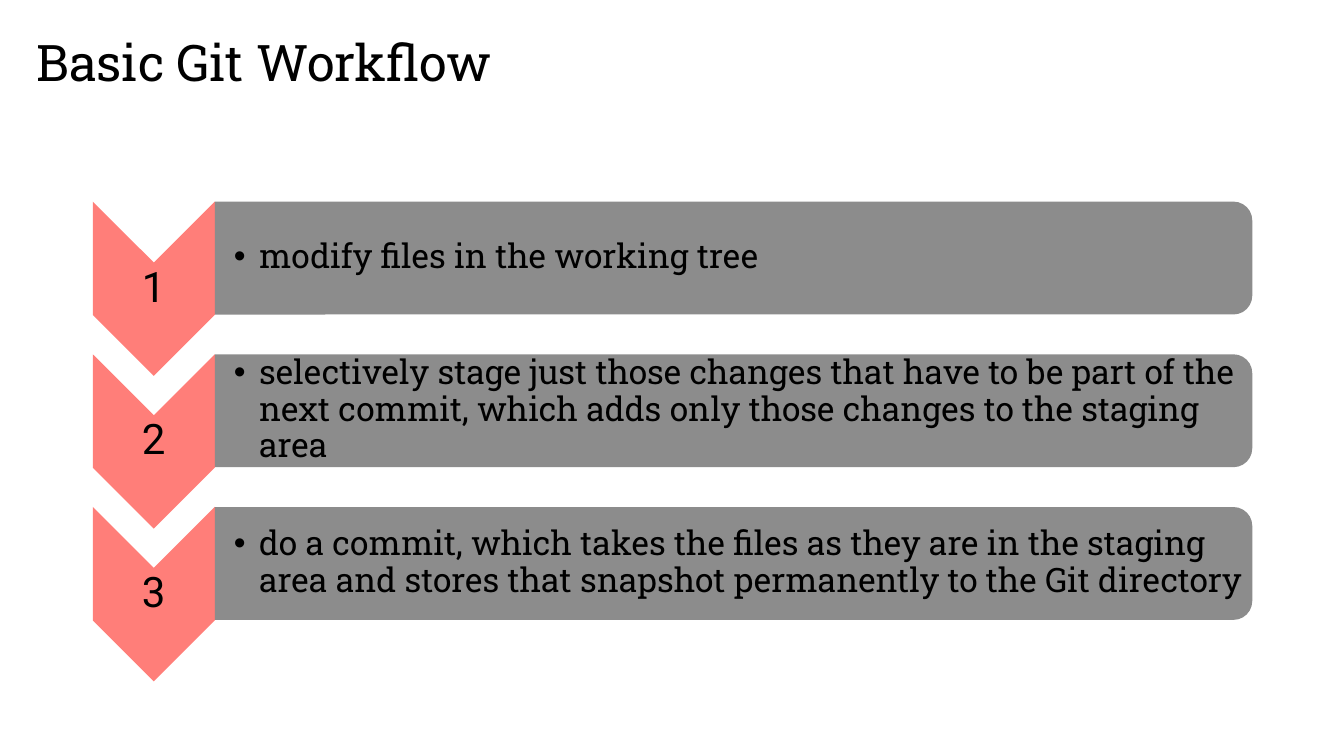
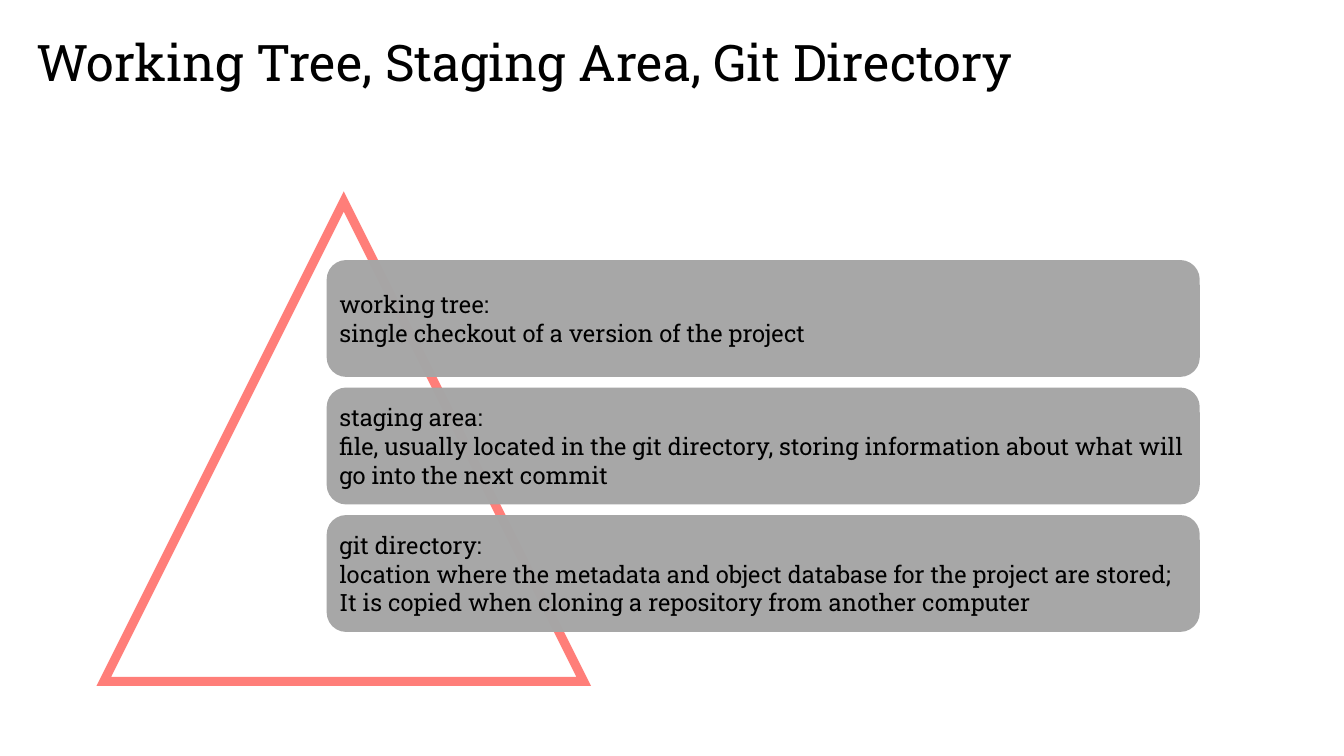
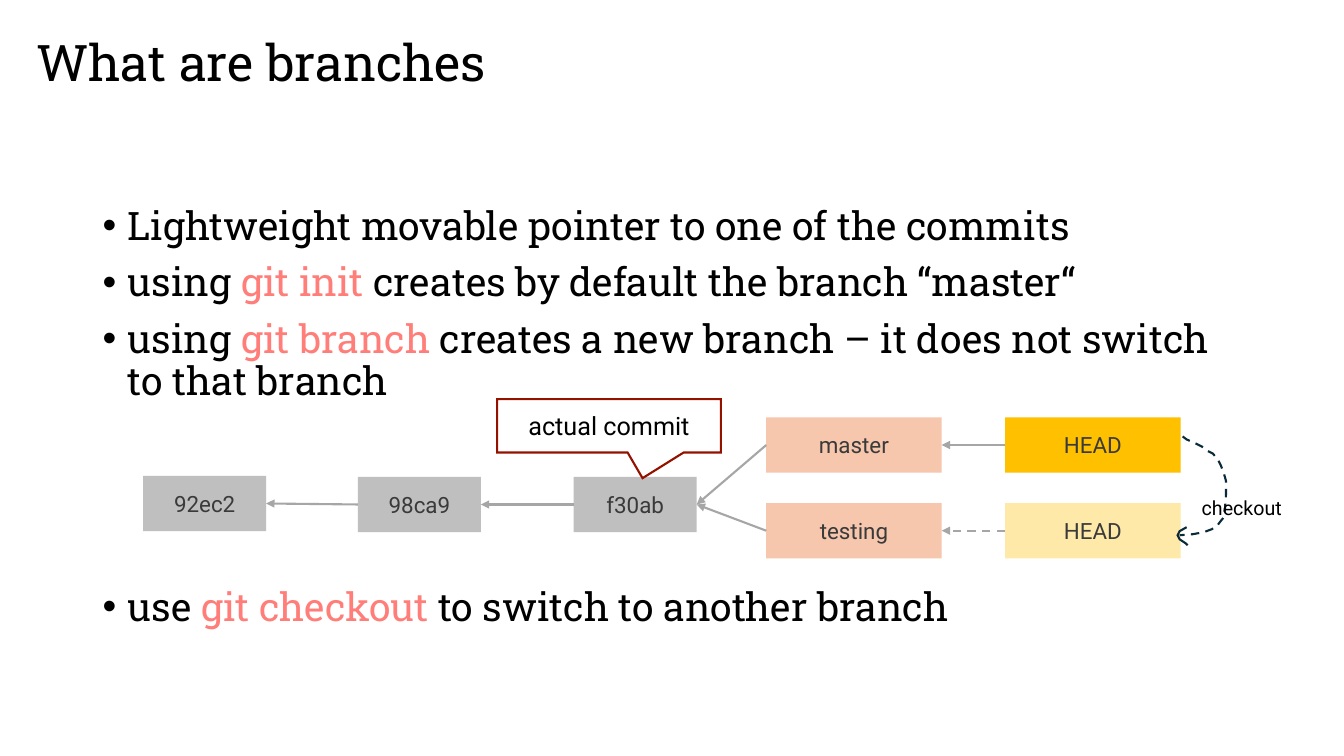
"""Build three slides on the Git workflow, its areas and its branches."""
from lxml import etree
from pptx import Presentation
from pptx.dml.color import RGBColor
from pptx.enum.dml import MSO_LINE
from pptx.enum.shapes import MSO_CONNECTOR, MSO_SHAPE
from pptx.enum.text import MSO_ANCHOR, PP_ALIGN
from pptx.oxml.ns import qn
from pptx.util import Pt

PX = 9144
SLIDE_SIZE = (1333, 750)
TITLE_BOX = (26, 26, 1256, 71)
SLAB, SANS = "Roboto Slab", "Roboto"
BLACK, CORAL, INK = "000000", "FF7E79", "3A3A3A"
BAR_GREY, CARD_GREY, ARROW_GREY, COMMIT_GREY = "808080", "A6A6A6", "A6A6A6", "BFBFBF"
PEACH, AMBER, DARK_RED, NAVY = "F6C6AD", "FFC000", "941100", "092A39"
TOP, MIDDLE = MSO_ANCHOR.TOP, MSO_ANCHOR.MIDDLE
LEFT, CENTER = PP_ALIGN.LEFT, PP_ALIGN.CENTER
RECT, ROUNDED, BAR = MSO_SHAPE.RECTANGLE, MSO_SHAPE.ROUNDED_RECTANGLE, MSO_SHAPE.ROUND_2_SAME_RECTANGLE
CHEVRON, TRIANGLE, CALLOUT = MSO_SHAPE.CHEVRON, MSO_SHAPE.ISOSCELES_TRIANGLE, MSO_SHAPE.RECTANGULAR_CALLOUT
STRAIGHT, DASH = MSO_CONNECTOR.STRAIGHT, MSO_LINE.DASH
LEFT_SIDE, RIGHT_SIDE = 1, 3
DEFAULT_INSETS = (10, 5, 10, 5)

WORKFLOW_TITLE = "Basic Git Workflow"
STEPS = [
    "modify files in the working tree",
    "selectively stage just those changes that have to be part of the next commit, "
    "which adds only those changes to the staging area",
    "do a commit, which takes the files as they are in the staging area and stores "
    "that snapshot permanently to the Git directory",
]
STEP_TOPS = (200, 503)

AREAS_TITLE = "Working Tree, Staging Area, Git Directory"
AREAS = [
    ["working tree:", "single checkout of a version of the project"],
    ["staging area:", "file, usually located in the git directory, storing information "
     "about what will go into the next commit"],
    ["git directory:", "location where the metadata and object database for the project are stored;",
     "It is copied when cloning a repository from another computer"],
]
AREA_TOPS = (258, 511)

BRANCHES_TITLE = "What are branches"
BRANCH_POINTS = [
    (10, ["Lightweight movable pointer to one of the commits"]),
    (10, ["using ", "git init ", "creates by default the branch “master“"]),
    (10, ["using ", "git branch ", "creates a new branch – it does not switch to that branch"]),
    (131, ["use ", "git checkout ", "to switch to another branch"]),
]
COMMIT_SIZE, REF_SIZE = (122, 55), (174, 55)
NODES = {
    "first": ("92ec2", (142, 472), COMMIT_SIZE, COMMIT_GREY, 100),
    "second": ("98ca9", (355, 473), COMMIT_SIZE, COMMIT_GREY, 100),
    "third": ("f30ab", (569, 473), COMMIT_SIZE, COMMIT_GREY, 100),
    "master": ("master", (760, 414), REF_SIZE, PEACH, 100),
    "testing": ("testing", (760, 499), REF_SIZE, PEACH, 100),
    "head": ("HEAD", (997, 414), REF_SIZE, AMBER, 100),
    "next head": ("HEAD", (997, 499), REF_SIZE, AMBER, 34),
}
POINTERS = [
    ("second", "first", None), ("third", "second", None),
    ("master", "third", None), ("testing", "third", None),
    ("head", "master", None), ("next head", "testing", DASH),
]
CHECKOUT_CURVE = [
    (1173, 433), (1177, 436), (1186, 440), (1192, 443), (1197, 447), (1203, 450),
    (1208, 456), (1211, 462), (1214, 470), (1216, 477), (1216, 491), (1215, 505),
    (1214, 513), (1210, 518), (1207, 522), (1202, 525), (1194, 528), (1183, 530), (1170, 531),
]
CHECKOUT_HEAD = [(1177, 523), (1170, 527), (1168, 531), (1170, 535), (1176, 539), (1178, 541)]


def emu(*lengths):
    return [round(length * PX) for length in lengths]


def rgb(value):
    return RGBColor.from_string(value)


def spread(ends, count):
    first, last = ends
    return [first + (last - first) * i / (count - 1) for i in range(count)]


def paint(shape, fill=None, line=None, width=1.5, alpha=100, dash=None):
    shape.shadow.inherit = False
    if fill:
        shape.fill.solid()
        shape.fill.fore_color.rgb = rgb(fill)
        if alpha < 100:
            color = shape.fill._xPr.find(qn("a:solidFill"))[0]
            etree.SubElement(color, qn("a:alpha"), val=str(alpha * 1000))
    else:
        shape.fill.background()
    if line:
        shape.line.color.rgb = rgb(line)
        shape.line.width = Pt(width)
        shape.line.dash_style = dash
        etree.SubElement(shape.line._get_or_add_ln(), qn("a:miter"), lim="800000")
    else:
        shape.line.fill.background()


def add_figure(slide, kind, box, rotation=0, **look):
    shape = slide.shapes.add_shape(kind, *emu(*box))
    shape.rotation = rotation
    paint(shape, **look)
    return shape


def add_upright(slide, kind, box, **look):
    """Turn a preset a quarter right so that it fills the given box."""
    x, y, w, h = box
    return add_figure(slide, kind, (x + (w - h) / 2, y + (h - w) / 2, h, w), 90, **look)


def write(shape, paragraphs, size, font=SLAB, color=BLACK, align=LEFT, anchor=TOP,
          insets=DEFAULT_INSETS, bullet=False):
    """Fill a shape with (space before, runs) pairs; every second run is coral."""
    frame = shape.text_frame
    frame.word_wrap = True
    frame.vertical_anchor = anchor
    frame.margin_left, frame.margin_top, frame.margin_right, frame.margin_bottom = emu(*insets)
    for i, (space, runs) in enumerate(paragraphs):
        paragraph = frame.paragraphs[0] if i == 0 else frame.add_paragraph()
        paragraph.alignment = align
        paragraph.space_before = Pt(space)
        if bullet:
            props = paragraph._p.get_or_add_pPr()
            indent = emu(25)[0]
            props.set("marL", str(indent))
            props.set("indent", str(-indent))
            etree.SubElement(props, qn("a:buFont"), typeface="Arial")
            etree.SubElement(props, qn("a:buChar"), char="•")
            paragraph.line_spacing = 0.9
        paragraph.font.name = font
        paragraph.font.size = Pt(size)
        paragraph.font.color.rgb = rgb(color)
        for j, text in enumerate(runs):
            run = paragraph.add_run()
            run.text = text
            if j % 2:
                run.font.color.rgb = rgb(CORAL)


def add_text(slide, box, paragraphs, size, **style):
    write(slide.shapes.add_textbox(*emu(*box)), paragraphs, size, **style)


def add_titled_slide(deck, title):
    slide = deck.slides.add_slide(deck.slide_layouts[6])
    add_text(slide, TITLE_BOX, [(0, [title])], 36)
    return slide


def add_pointer(slide, source, target, dash):
    pointer = slide.shapes.add_connector(STRAIGHT, 0, 0, 0, 0)
    pointer.begin_connect(source, LEFT_SIDE)
    pointer.end_connect(target, RIGHT_SIDE)
    pointer.line.color.rgb = rgb(ARROW_GREY)
    pointer.line.width = Pt(1.5)
    pointer.line.dash_style = dash
    etree.SubElement(pointer.line._get_or_add_ln(), qn("a:tailEnd"), type="triangle")
    etree.SubElement(pointer._element.spPr, qn("a:effectLst"))


def add_stroke(slide, points, dash=None):
    builder = slide.shapes.build_freeform(*points[0], scale=PX)
    builder.add_line_segments(points[1:], close=False)
    paint(builder.convert_to_shape(), line=NAVY, dash=dash)


def build_workflow(deck):
    slide = add_titled_slide(deck, WORKFLOW_TITLE)
    for number, (step, top) in enumerate(zip(STEPS, spread(STEP_TOPS, len(STEPS))), 1):
        add_upright(slide, CHEVRON, (92, top, 121, 173), fill=CORAL)
        add_text(slide, (92, top + 57, 121, 52), [(0, [str(number)])], 30, font=SANS,
                 align=CENTER, anchor=MIDDLE, insets=(2, 2, 2, 2))
        add_upright(slide, BAR, (213, top, 1029, 112), fill=BAR_GREY, alpha=90)
        add_text(slide, (213, top + 5, 1024, 101), [(0, [step])], 24, anchor=MIDDLE,
                 insets=(19, 2, 2, 2), bullet=True)


def build_areas(deck):
    slide = add_titled_slide(deck, AREAS_TITLE)
    add_figure(slide, TRIANGLE, (103, 200, 476, 476), line=CORAL, width=6.5)
    for lines, top in zip(AREAS, spread(AREA_TOPS, len(AREAS))):
        card = add_figure(slide, ROUNDED, (324, top, 866, 116), fill=CARD_GREY, alpha=98)
        write(card, [(0, [line]) for line in lines], 17, anchor=MIDDLE, insets=(7, 7, 7, 7))


def build_branches(deck):
    slide = add_titled_slide(deck, BRANCHES_TITLE)
    add_text(slide, (92, 200, 1150, 476), BRANCH_POINTS, 28, bullet=True)
    nodes = {}
    for key, (label, corner, size, fill, alpha) in NODES.items():
        nodes[key] = add_figure(slide, RECT, corner + size, fill=fill, alpha=alpha)
        write(nodes[key], [(0, [label])], 16, font=SANS, color=INK, align=CENTER, anchor=MIDDLE)
    for source, target, dash in POINTERS:
        add_pointer(slide, nodes[source], nodes[target], dash)
    callout = add_figure(slide, CALLOUT, (493, 396, 222, 53), line=DARK_RED)
    callout.adjustments[0], callout.adjustments[1] = 0.15, 0.98
    write(callout, [(0, ["actual commit"])], 18, font=SANS, align=CENTER, anchor=MIDDLE)
    add_stroke(slide, CHECKOUT_CURVE, DASH)
    add_stroke(slide, CHECKOUT_HEAD)
    add_text(slide, (1182, 487, 115, 34), [(0, ["checkout"])], 14, font=SANS)


def main():
    deck = Presentation()
    deck.slide_width, deck.slide_height = emu(*SLIDE_SIZE)
    build_workflow(deck)
    build_areas(deck)
    build_branches(deck)
    deck.save("out.pptx")


if __name__ == "__main__":
    main()
